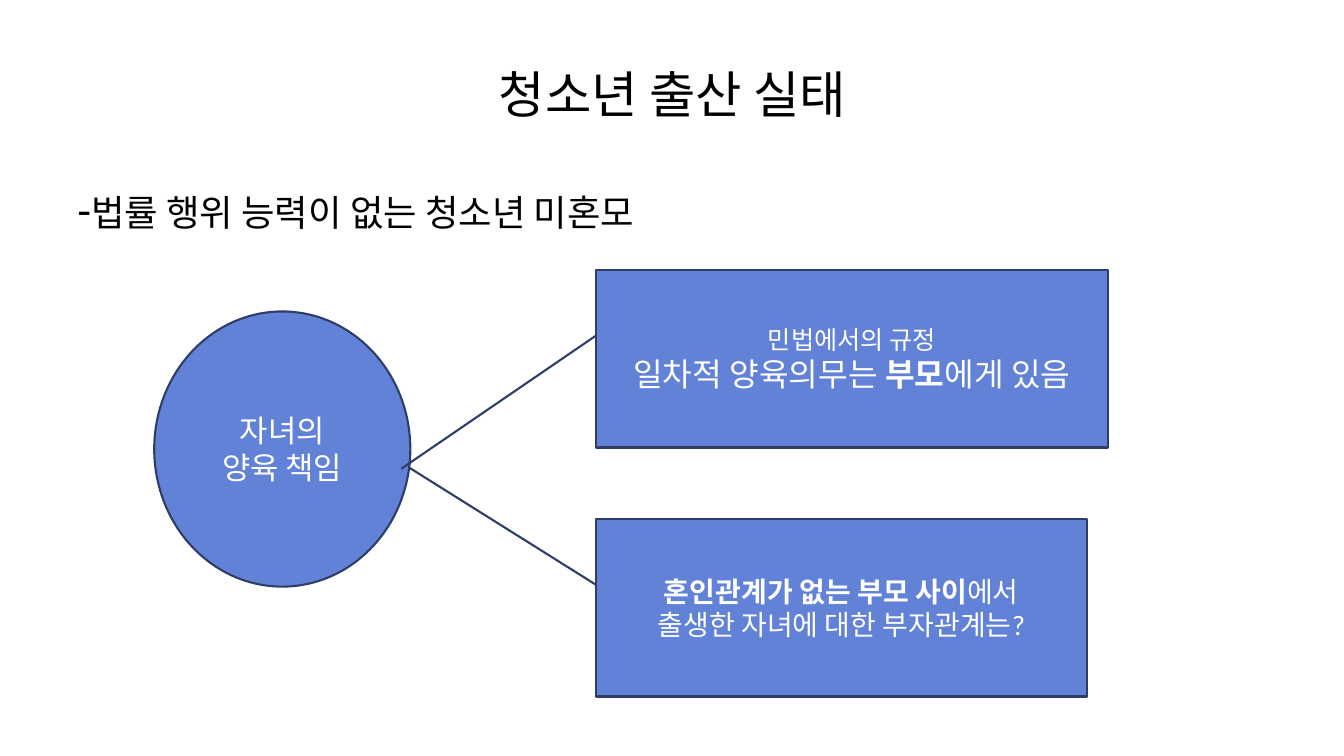
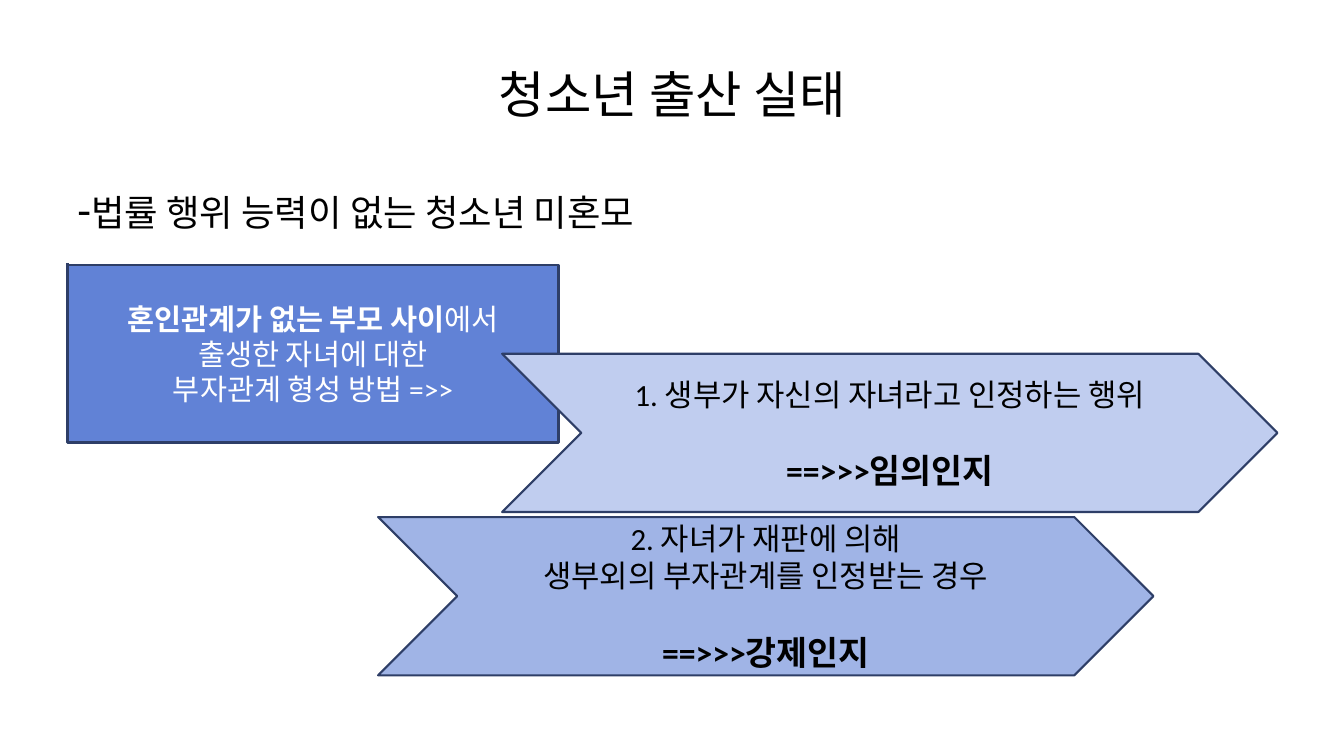
from dataclasses import dataclass

from pptx import Presentation
from pptx.dml.color import RGBColor
from pptx.enum.shapes import MSO_SHAPE
from pptx.enum.text import MSO_ANCHOR, PP_ALIGN
from pptx.util import Inches, Pt

FONT = "Calibri"
BLACK = RGBColor(0x00, 0x00, 0x00)
WHITE = RGBColor(0xFF, 0xFF, 0xFF)
BLUE = RGBColor(0x61, 0x82, 0xD6)
MID_BLUE = RGBColor(0xA0, 0xB4, 0xE6)
PALE_BLUE = RGBColor(0xC0, 0xCD, 0xEF)
OUTLINE = RGBColor(0x2E, 0x3E, 0x67)

TITLE = "청소년 출산 실태"
SUBTITLE = "법률 행위 능력이 없는 청소년 미혼모"
UNMARRIED_PARENTS = "혼인관계가 없는 부모 사이"
RESULT_GAP = Pt(27)


@dataclass
class Box:
    left: float
    top: float
    width: float
    height: float

    def inner(self, left, top, width, height):
        return Box(self.left + left, self.top + top, width, height)

    def lengths(self):
        return [Inches(n) for n in (self.left, self.top, self.width, self.height)]


CONTENT = Box(0.67, 0.3, 12, 6.4)


def write(frame, lines, color, align=PP_ALIGN.CENTER, anchor=MSO_ANCHOR.MIDDLE):
    frame.word_wrap = True
    frame.vertical_anchor = anchor
    for index, line in enumerate(lines):
        para = frame.paragraphs[0] if index == 0 else frame.add_paragraph()
        para.alignment = align
        for text, size, bold in line:
            span = para.add_run()
            span.text = text
            span.font.name = FONT
            span.font.size = Pt(size)
            span.font.bold = bold
            span.font.color.rgb = color


def add_text(page, box, lines, **layout):
    write(page.shapes.add_textbox(*box.lengths()).text_frame, lines, BLACK, **layout)


def add_figure(shapes, kind, box, lines, fill=BLUE, color=WHITE, adjustments=()):
    figure = shapes.add_shape(kind, *box.lengths())
    figure.shadow.inherit = False
    figure.fill.solid()
    figure.fill.fore_color.rgb = fill
    figure.line.color.rgb = OUTLINE
    figure.line.width = Pt(1.5)
    for index, value in enumerate(adjustments):
        figure.adjustments[index] = value
    write(figure.text_frame, lines, color)
    return figure


def add_callout(shapes, box, lines, pointer):
    add_figure(shapes, MSO_SHAPE.LINE_CALLOUT_1, box, lines, adjustments=pointer)


def add_chevron(page, box, lines, result, fill):
    rows = [[(line, 22, False)] for line in lines]
    rows.append([("==>>>" + result, 24, True)])
    chevron = add_figure(page.shapes, MSO_SHAPE.CHEVRON, box, rows, fill, BLACK, [0.5])
    chevron.text_frame.paragraphs[-1].space_before = RESULT_GAP


def add_header(page, box):
    add_text(page, box.inner(0, 0, box.width, 1.25), [[(TITLE, 36, False)]])
    add_text(
        page,
        box.inner(0, 1.45, box.width, 0.7),
        [[("-", 32, False), (SUBTITLE, 26, False)]],
        align=PP_ALIGN.LEFT,
        anchor=MSO_ANCHOR.TOP,
    )


def add_responsibility_diagram(page, box):
    shapes = page.shapes.add_group_shape().shapes
    add_figure(
        shapes,
        MSO_SHAPE.OVAL,
        box.inner(0.86, 2.79, 2.54, 2.73),
        [[("자녀의", 22, False)], [("양육 책임", 22, False)]],
    )
    add_callout(
        shapes,
        box.inner(5.24, 2.38, 5.08, 1.76),
        [
            [("민법에서의 규정", 18, False)],
            [("일차적 양육의무는 ", 23, False), ("부모", 23, True), ("에게 있음", 23, False)],
        ],
        [0.37, 0, 1.12, -0.38],
    )
    add_callout(
        shapes,
        box.inner(5.24, 4.85, 4.87, 1.76),
        [
            [(UNMARRIED_PARENTS, 20, True), ("에서", 20, False)],
            [("출생한 자녀에 대한 부자관계는?", 20, False)],
        ],
        [0.37, 0, -0.29, -0.38],
    )


def add_recognition_methods(page, box):
    add_callout(
        page.shapes,
        box.inner(0, 2.33, 4.87, 1.76),
        [
            [(UNMARRIED_PARENTS, 21, True), ("에서", 21, False)],
            [("출생한 자녀에 대한", 21, False)],
            [("부자관계 형성 방법 =>>", 21, False)],
        ],
        [-0.01, 0, 0.5, 0],
    )
    add_chevron(
        page,
        box.inner(4.31, 3.21, 7.69, 1.57),
        ["1. 생부가 자신의 자녀라고 인정하는 행위"],
        "임의인지",
        PALE_BLUE,
    )
    add_chevron(
        page,
        box.inner(3.08, 4.83, 7.69, 1.57),
        ["2. 자녀가 재판에 의해", "생부외의 부자관계를 인정받는 경우"],
        "강제인지",
        MID_BLUE,
    )


def main():
    deck = Presentation()
    deck.slide_width = Inches(13.33)
    deck.slide_height = Inches(7.5)
    for add_content in (add_responsibility_diagram, add_recognition_methods):
        page = deck.slides.add_slide(deck.slide_layouts[6])
        add_header(page, CONTENT)
        add_content(page, CONTENT)
    deck.save("out.pptx")


if __name__ == "__main__":
    main()
